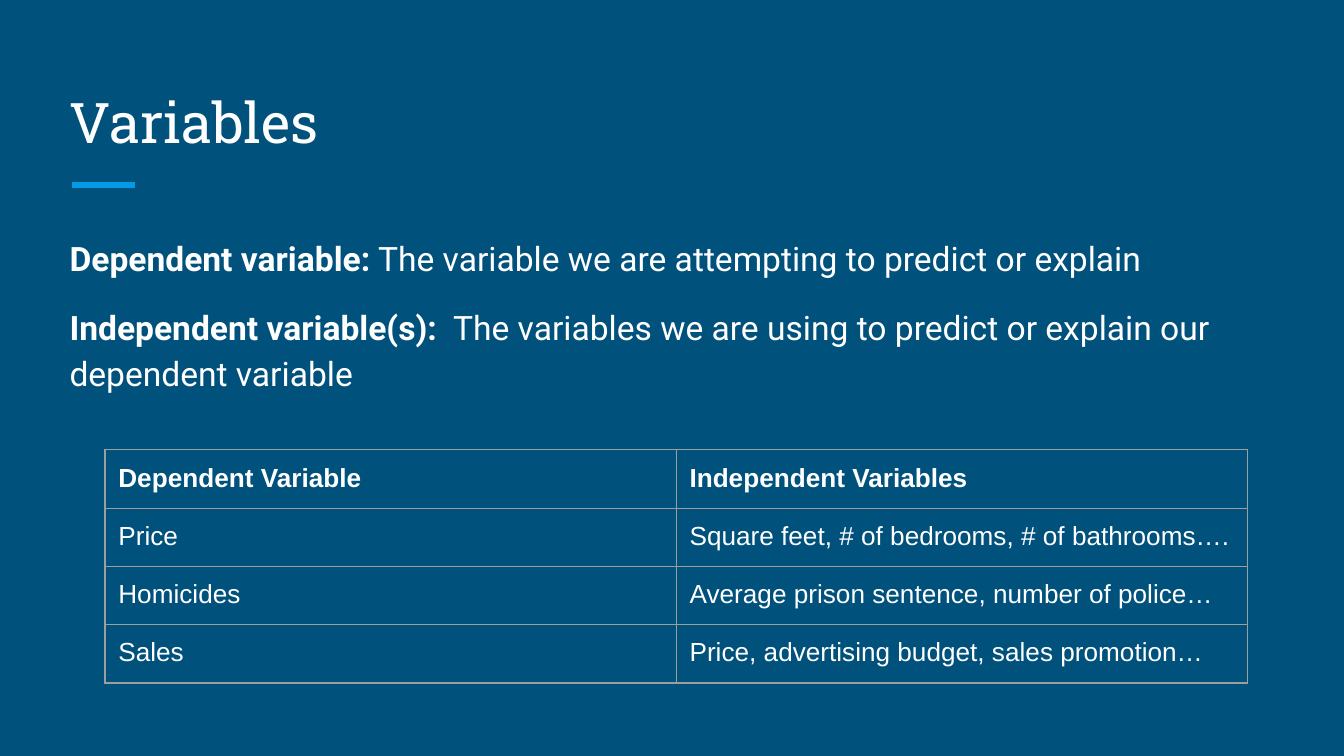
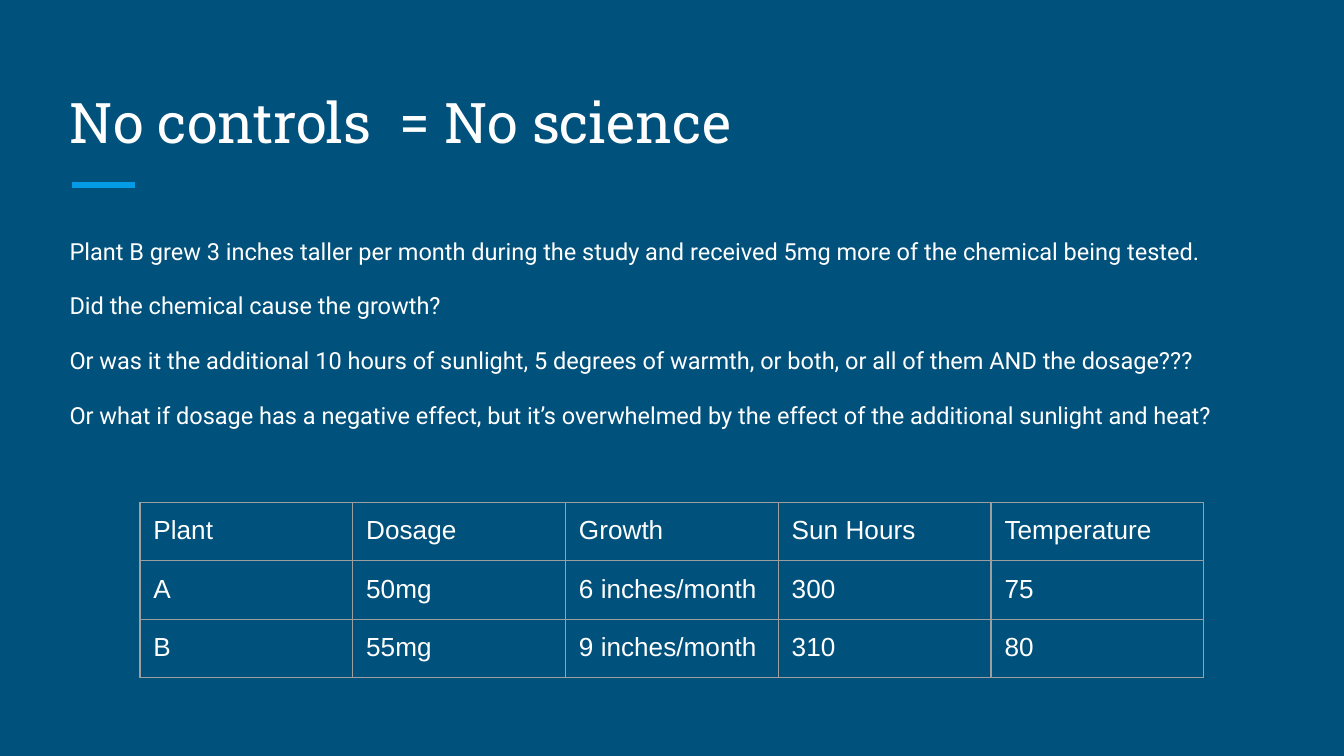
from lxml import etree
from pptx import Presentation
from pptx.dml.color import RGBColor
from pptx.enum.shapes import MSO_CONNECTOR
from pptx.enum.text import MSO_ANCHOR
from pptx.oxml.ns import qn
from pptx.util import Pt

STRAIGHT = MSO_CONNECTOR.STRAIGHT
TOP, BOTTOM = MSO_ANCHOR.TOP, MSO_ANCHOR.BOTTOM
COLORS = {"background": "00517C", "accent": "039BE5", "text": "FFFFFF", "grid": "9E9E9E"}
INSET = Pt(7.2)
ROW_HEIGHT = 30.15


def add_run(paragraph, text, font, size, bold=False):
    run = paragraph.add_run()
    run.text = text
    run.font.name = font
    run.font.size = Pt(size)
    run.font.bold = bold
    run.font.color.rgb = RGBColor.from_string(COLORS["text"])


def add_frame(slide, top, height, anchor):
    frame = slide.shapes.add_textbox(Pt(30.2), Pt(top), Pt(659), Pt(height)).text_frame
    frame.word_wrap = True
    frame.vertical_anchor = anchor
    frame.margin_left = frame.margin_right = INSET
    frame.margin_top = frame.margin_bottom = INSET
    return frame


topics = [
    {
        "title": "Variables",
        "body_size": 18,
        "body_height": 242.6,
        "body": [
            [("Dependent variable:", True),
             (" The variable we are attempting to predict or explain", False)],
            [("Independent variable(s):", True),
             ("  The variables we are using to predict or explain our dependent variable", False)],
        ],
        "table_at": (56.2, 241),
        "column_width": 306,
        "bold_header": True,
        "rows": [
            ["Dependent Variable", "Independent Variables"],
            ["Price", "Square feet, # of bedrooms, # of bathrooms…."],
            ["Homicides", "Average prison sentence, number of police…"],
            ["Sales", "Price, advertising budget, sales promotion…"],
        ],
    },
    {
        "title": "No controls  = No science",
        "body_size": 12.6,
        "body_height": 129,
        "body": [
            [("Plant B grew 3 inches taller per month during the study and received "
              "5mg more of the chemical being tested.", False)],
            [("Did the chemical cause the growth?", False)],
            [("Or was it the additional 10 hours of sunlight, 5 degrees of warmth, "
              "or both, or all of them AND the dosage???", False)],
            [("Or what if dosage has a negative effect, but it’s overwhelmed by the "
              "effect of the additional sunlight and heat?", False)],
        ],
        "table_at": (75, 269.2),
        "column_width": 114,
        "bold_header": False,
        "rows": [
            ["Plant", "Dosage", "Growth", "Sun Hours", "Temperature"],
            ["A", "50mg", "6 inches/month", "300", "75"],
            ["B", "55mg", "9 inches/month", "310", "80"],
        ],
    },
]

prs = Presentation()
prs.slide_width, prs.slide_height = Pt(720), Pt(405)

for topic in topics:
    slide = prs.slides.add_slide(prs.slide_layouts[6])
    slide.background.fill.solid()
    slide.background.fill.fore_color.rgb = RGBColor.from_string(COLORS["background"])

    accent = slide.shapes.add_connector(STRAIGHT, Pt(38.6), Pt(99.2), Pt(72.2), Pt(99.2))
    accent.line.color.rgb = RGBColor.from_string(COLORS["accent"])
    accent.line.width = Pt(3)
    etree.SubElement(accent._element.spPr, qn("a:effectLst"))

    title = add_frame(slide, 36, 54, BOTTOM)
    add_run(title.paragraphs[0], topic["title"], "Roboto Slab", 30)

    body = add_frame(slide, 117.2, topic["body_height"], TOP)
    for index, statement in enumerate(topic["body"]):
        paragraph = body.add_paragraph() if index else body.paragraphs[0]
        paragraph.line_spacing = 1.15
        paragraph.space_before = Pt(12 if index else 0)
        for text, bold in statement:
            add_run(paragraph, text, "Roboto", topic["body_size"], bold)

    rows = topic["rows"]
    left, top = topic["table_at"]
    width = topic["column_width"]
    table = slide.shapes.add_table(
        len(rows), len(rows[0]), Pt(left), Pt(top),
        Pt(width * len(rows[0])), Pt(ROW_HEIGHT * len(rows))).table
    table.first_row = table.horz_banding = False
    for column in table.columns:
        column.width = Pt(width)
    for r, values in enumerate(rows):
        table.rows[r].height = Pt(ROW_HEIGHT)
        for c, value in enumerate(values):
            cell = table.cell(r, c)
            cell.margin_left = cell.margin_right = INSET
            cell.margin_top = cell.margin_bottom = INSET
            add_run(cell.text_frame.paragraphs[0], value, "Arial", 14,
                    topic["bold_header"] and r == 0)
            properties = cell._tc.get_or_add_tcPr()
            for side in ("a:lnL", "a:lnR", "a:lnT", "a:lnB"):
                border = etree.SubElement(properties, qn(side), w=str(Pt(0.75)))
                fill = etree.SubElement(border, qn("a:solidFill"))
                etree.SubElement(fill, qn("a:srgbClr"), val=COLORS["grid"])
            cell.fill.background()

prs.save("out.pptx")
